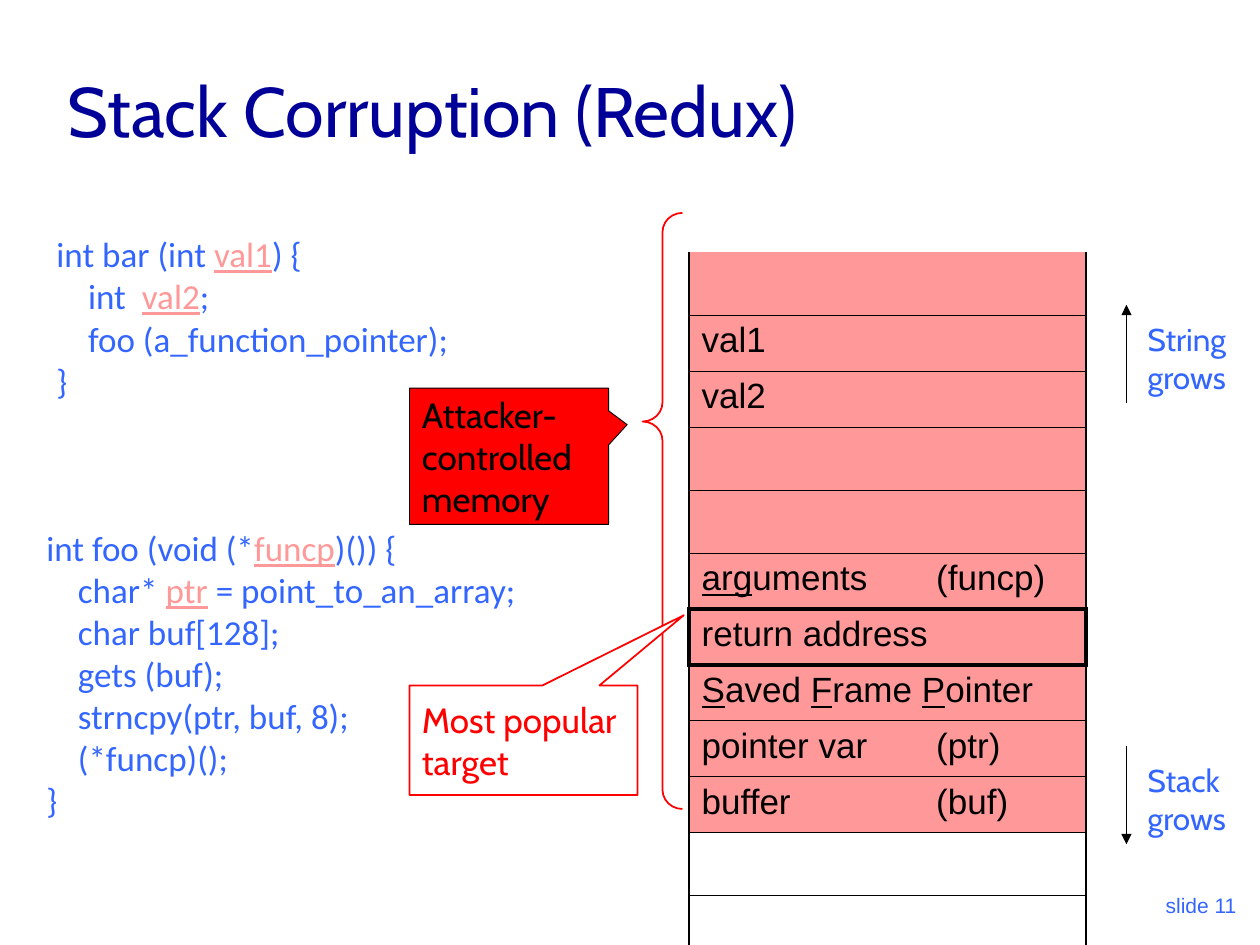
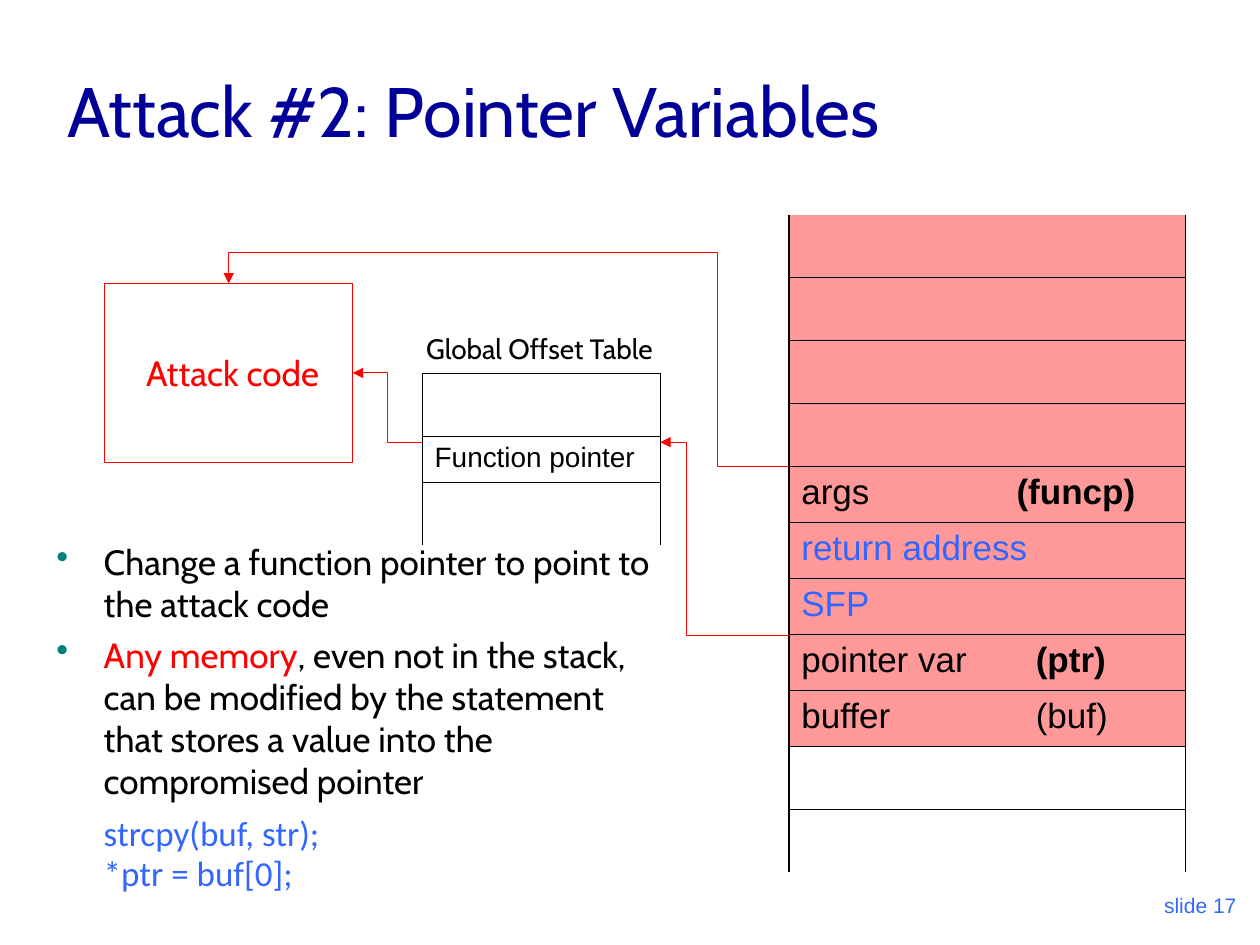
"""Build two slides about stack corruption and pointer attacks."""
from lxml.etree import SubElement
from pptx import Presentation
from pptx.dml.color import RGBColor
from pptx.enum.shapes import MSO_CONNECTOR, MSO_SHAPE
from pptx.enum.text import MSO_ANCHOR, PP_ALIGN
from pptx.oxml.ns import qn
from pptx.util import Pt

BLACK, WHITE, RED, NAVY = "000000", "FFFFFF", "FF0000", "000099"
BLUE, PINK, TEAL = "3366FF", "FF9999", "008080"
HEADING, CODE, MEMORY = "Cabin", "Calibri", "Arial"
THIN, SIDE, THICK = 0.45, 1.08, 3
EMPTY_ROW, TEXT_ROW = 36, 32
STACK_WIDTH = 226.8

UNDERLINED = {"underline": True}
VARIABLE = {"color": PINK, "underline": True}
BOLD = {"bold": True}
BLUE_TEXT = {"color": BLUE}

BAR_CODE = [
    ["int bar (int ", ("val1", VARIABLE), ") {"],
    ["    int  ", ("val2", VARIABLE), ";"],
    ["    foo (a_function_pointer);"],
    ["}"],
]
FOO_CODE = [
    ["int foo (void (*", ("funcp", VARIABLE), ")()) {"],
    ["    char* ", ("ptr", VARIABLE), " = point_to_an_array;"],
    ["    char buf[128];"],
    ["    gets (buf);"],
    ["    strncpy(ptr, buf, 8);"],
    ["    (*funcp)();"],
    ["}"],
]
POINTER_ROW = ["pointer var\t", "(ptr)"]
BUFFER_ROW = ["buffer\t(buf)"]
CORRUPTED_STACK = [
    [], ["val1"], ["val2"], [], [],
    [("arg", UNDERLINED), "uments\t(funcp)"],
    ["return address"],
    [("S", UNDERLINED), "aved ", ("F", UNDERLINED), "rame ", ("P", UNDERLINED), "ointer"],
    POINTER_ROW, BUFFER_ROW, [], [],
]
POINTER_STACK = [
    [], [], [], [],
    ["args\t", ("(funcp)", BOLD)],
    [("return address", BLUE_TEXT)],
    [("SFP", BLUE_TEXT)],
    [POINTER_ROW[0], (POINTER_ROW[1], BOLD)],
    BUFFER_ROW, [], [],
]
OFFSET_TABLE = [[], ["Function pointer"], []]
GROWTH_ARROWS = [("String grows", 230.4, 174.2, 179.3), ("Stack grows", 426.2, 482.4, 431.3)]
CALLOUTS = [
    ("Attacker-controlled memory", (234, 221.8, 113.8, 77.8), (0.593, -0.232), RED, BLACK, 0.5, BLACK),
    ("Most popular target", (234, 391.7, 130.3, 62.6), (0.703, -1.141), WHITE, RED, 1, RED),
]
BULLETS = [
    ["Change a function pointer to point to the attack code"],
    [("Any memory", {"color": RED}), ", even not in the stack, can be modified by the "
     "statement that stores a value into the compromised pointer"],
]
OVERWRITE_CODE = [("strcpy(buf, str);", 6, 1), ("*ptr = buf[0];", 5, 0.7)]


def rgb(value):
    """Turn a hex string into a colour."""
    return RGBColor.from_string(value)


def points(*values):
    """Turn numbers into lengths in points."""
    return [Pt(value) for value in values]


def add_runs(paragraph, runs, font, size, color):
    """Add plain or styled runs to a paragraph."""
    for item in runs:
        text, style = (item, {}) if isinstance(item, str) else item
        run = paragraph.add_run()
        run.text = text
        run.font.name = font
        run.font.size = Pt(size)
        run.font.color.rgb = rgb(style.get("color", color))
        if "underline" in style:
            run.font.underline = True
        if "bold" in style:
            run.font.bold = True


def add_text(slide, box, paragraphs, font, size, color, anchor=MSO_ANCHOR.TOP, align=PP_ALIGN.LEFT):
    """Add a wrapping text box and return its frame."""
    frame = slide.shapes.add_textbox(*points(*box)).text_frame
    frame.word_wrap = True
    frame.vertical_anchor = anchor
    for index, runs in enumerate(paragraphs):
        paragraph = frame.add_paragraph() if index else frame.paragraphs[0]
        paragraph.alignment = align
        add_runs(paragraph, runs, font, size, color)
    return frame


def add_box(slide, kind, box, fill, line, width):
    """Add a flat preset shape; a fill of None leaves it open."""
    shape = slide.shapes.add_shape(kind, *points(*box))
    shape.shadow.inherit = False
    if fill:
        shape.fill.solid()
        shape.fill.fore_color.rgb = rgb(fill)
    else:
        shape.fill.background()
    shape.line.color.rgb = rgb(line)
    shape.line.width = Pt(width)
    return shape


def label_box(shape, text, color, align):
    """Write a heading-font label in the middle of a shape."""
    frame = shape.text_frame
    frame.vertical_anchor = MSO_ANCHOR.MIDDLE
    frame.paragraphs[0].alignment = align
    add_runs(frame.paragraphs[0], [text], HEADING, 20, color)
    return frame


def add_arrow(slide, kind, start, end, color):
    """Add a thin connector with a triangle at its end."""
    connector = slide.shapes.add_connector(kind, *points(*start, *end))
    connector.line.color.rgb = rgb(color)
    connector.line.width = Pt(0.5)
    properties = connector._element.spPr
    SubElement(properties.find(qn("a:ln")), qn("a:tailEnd"), type="triangle")
    SubElement(properties, qn("a:effectLst"))
    return connector


def add_elbow(slide, start, end, preset, adjustments, target=None, site=0):
    """Add a red elbow arrow that runs up and to the left."""
    connector = add_arrow(slide, MSO_CONNECTOR.ELBOW, start, end, RED)
    if target is not None:
        connector.end_connect(target, site)
    properties = connector._element.spPr
    transform = properties.find(qn("a:xfrm"))
    for flip in ("flipH", "flipV"):
        transform.attrib.pop(flip, None)
    transform.set("rot", "10800000")
    geometry = properties.find(qn("a:prstGeom"))
    geometry.set("prst", preset)
    guides = geometry.find(qn("a:avLst"))
    if guides is None:
        guides = SubElement(geometry, qn("a:avLst"))
    for number, value in enumerate(adjustments, 1):
        SubElement(guides, qn("a:gd"), name=f"adj{number}", fmla=f"val {round(value * 100000)}")


def set_borders(cell, widths):
    """Set left, right, top and bottom border widths; zero hides one."""
    properties = cell._tc.get_or_add_tcPr()
    for side, width in zip("LRTB", widths):
        line = SubElement(properties, qn(f"a:ln{side}"), w=str(int(Pt(width))))
        if width:
            SubElement(SubElement(line, qn("a:solidFill")), qn("a:srgbClr"), val=BLACK)
        else:
            SubElement(line, qn("a:noFill"))


def add_memory(slide, left, top, width, rows, fills, size=20, text_row=TEXT_ROW, side=SIDE,
               first_edge=0, framed=None):
    """Add a one-column memory table with an open bottom."""
    heights = [text_row if runs else EMPTY_ROW for runs in rows]
    box = points(left, top, width, sum(heights))
    table = slide.shapes.add_table(len(rows), 1, *box).table
    table.first_row = table.horz_banding = False
    edges = [first_edge] + [THIN] * (len(rows) - 1) + [0]
    if framed is not None:
        edges[framed] = edges[framed + 1] = THICK
    for index, runs in enumerate(rows):
        table.rows[index].height = Pt(heights[index])
        cell = table.cell(index, 0)
        edge = THICK if index == framed else side
        set_borders(cell, (edge, edge, edges[index], edges[index + 1]))
        cell.fill.solid()
        cell.fill.fore_color.rgb = rgb(fills[index])
        paragraph = cell.text_frame.paragraphs[0]
        if any("\t" in (item if isinstance(item, str) else item[0]) for item in runs):
            stop = 123 if runs[0] == "args\t" else 134
            tabs = SubElement(paragraph._p.get_or_add_pPr(), qn("a:tabLst"))
            SubElement(tabs, qn("a:tab"), pos=str(int(Pt(stop))), algn="l")
        add_runs(paragraph, runs, MEMORY, size, BLACK)


def stack_fills(rows):
    """Colour all stack rows but the last two."""
    return [PINK] * (len(rows) - 2) + [WHITE] * 2


def new_slide(presentation, title, number):
    """Add a blank slide with the shared title and slide number."""
    slide = presentation.slides.add_slide(presentation.slide_layouts[6])
    add_text(slide, (31.7, 18, 612, 72), [[title]], HEADING, 40, NAVY, MSO_ANCHOR.BOTTOM)
    add_text(slide, (563.8, 491.8, 149.8, 36), [[f"slide {number}"]], MEMORY, 12, BLUE,
             MSO_ANCHOR.BOTTOM, PP_ALIGN.RIGHT)
    return slide


def build_corruption(presentation):
    """Draw the corrupted stack beside its code."""
    slide = new_slide(presentation, "Stack Corruption (Redux)", 11)
    brace = add_box(slide, MSO_SHAPE.LEFT_BRACE, (367.2, 121.7, 22.8, 340.6), None, RED, 1)
    brace.adjustments[0] = 0.48
    brace.adjustments[1] = 0.35
    add_text(slide, (19.4, 297.4, 360, 175.7), FOO_CODE, CODE, 20, BLUE)
    add_text(slide, (25.2, 129.6, 268.6, 103.7), BAR_CODE, CODE, 20, BLUE)
    for text, start, end, top in GROWTH_ARROWS:
        add_arrow(slide, MSO_CONNECTOR.STRAIGHT, (643.7, start), (643.7, end), BLACK)
        add_text(slide, (648.7, top, 64.8, 72), [[text]], HEADING, 18, BLUE)
    for text, box, tip, fill, line, width, color in CALLOUTS:
        callout = add_box(slide, MSO_SHAPE.RECTANGULAR_CALLOUT, box, fill, line, width)
        callout.adjustments[0], callout.adjustments[1] = tip
        label_box(callout, text, color, PP_ALIGN.LEFT)
    add_memory(slide, 393.8, 144, STACK_WIDTH, CORRUPTED_STACK, stack_fills(CORRUPTED_STACK),
               framed=CORRUPTED_STACK.index(["return address"]))


def add_explanation(slide):
    """Add the bullets and the code lines below them."""
    frame = add_text(slide, (25.2, 305.3, 362.9, 207.4), BULLETS, HEADING, 20, BLACK)
    for paragraph in frame.paragraphs:
        properties = paragraph._p.get_or_add_pPr()
        properties.set("marL", str(int(Pt(27))))
        properties.set("indent", str(int(Pt(-27))))
        SubElement(SubElement(properties, qn("a:buClr")), qn("a:srgbClr"), val=TEAL)
        SubElement(properties, qn("a:buChar"), char="•")
    frame.paragraphs[1].space_before = Pt(5)
    for text, gap, spacing in OVERWRITE_CODE:
        paragraph = frame.add_paragraph()
        paragraph._p.get_or_add_pPr().set("marL", str(int(Pt(27))))
        paragraph.space_before = Pt(gap)
        paragraph.line_spacing = spacing
        add_runs(paragraph, [text], CODE, 20, BLUE)


def build_pointer_attack(presentation):
    """Draw the pointer attack through the offset table."""
    slide = new_slide(presentation, "Attack #2: Pointer Variables", 17)
    add_memory(slide, 450.7, 122.6, STACK_WIDTH, POINTER_STACK, stack_fills(POINTER_STACK))
    attack = add_box(slide, MSO_SHAPE.RECTANGLE, (59.8, 162, 141.8, 102.2), WHITE, RED, 0.5)
    frame = label_box(attack, "Attack code", RED, PP_ALIGN.CENTER)
    frame.word_wrap = False
    frame.margin_left = Pt(11.5)
    add_elbow(slide, (450.7, 266.4), (130.7, 162), "bentConnector4", (0.127, 1.172), attack, 0)
    add_explanation(slide)
    add_memory(slide, 241.2, 213.1, 136.1, OFFSET_TABLE, [WHITE] * 3, 16, 26.4, THIN, THIN)
    add_text(slide, (236.5, 185.8, 152, 46), [["Global Offset Table"]], HEADING, 16, BLACK)
    add_elbow(slide, (450.7, 362.9), (377.3, 252.7), "bentConnector3", (0.794,))
    add_elbow(slide, (241.2, 252.7), (201.6, 213.1), "bentConnector3", (0.498,), attack, 3)


def main():
    """Build and save the presentation."""
    presentation = Presentation()
    presentation.slide_width, presentation.slide_height = points(720, 540)
    build_corruption(presentation)
    build_pointer_attack(presentation)
    presentation.save("out.pptx")


if __name__ == "__main__":
    main()
